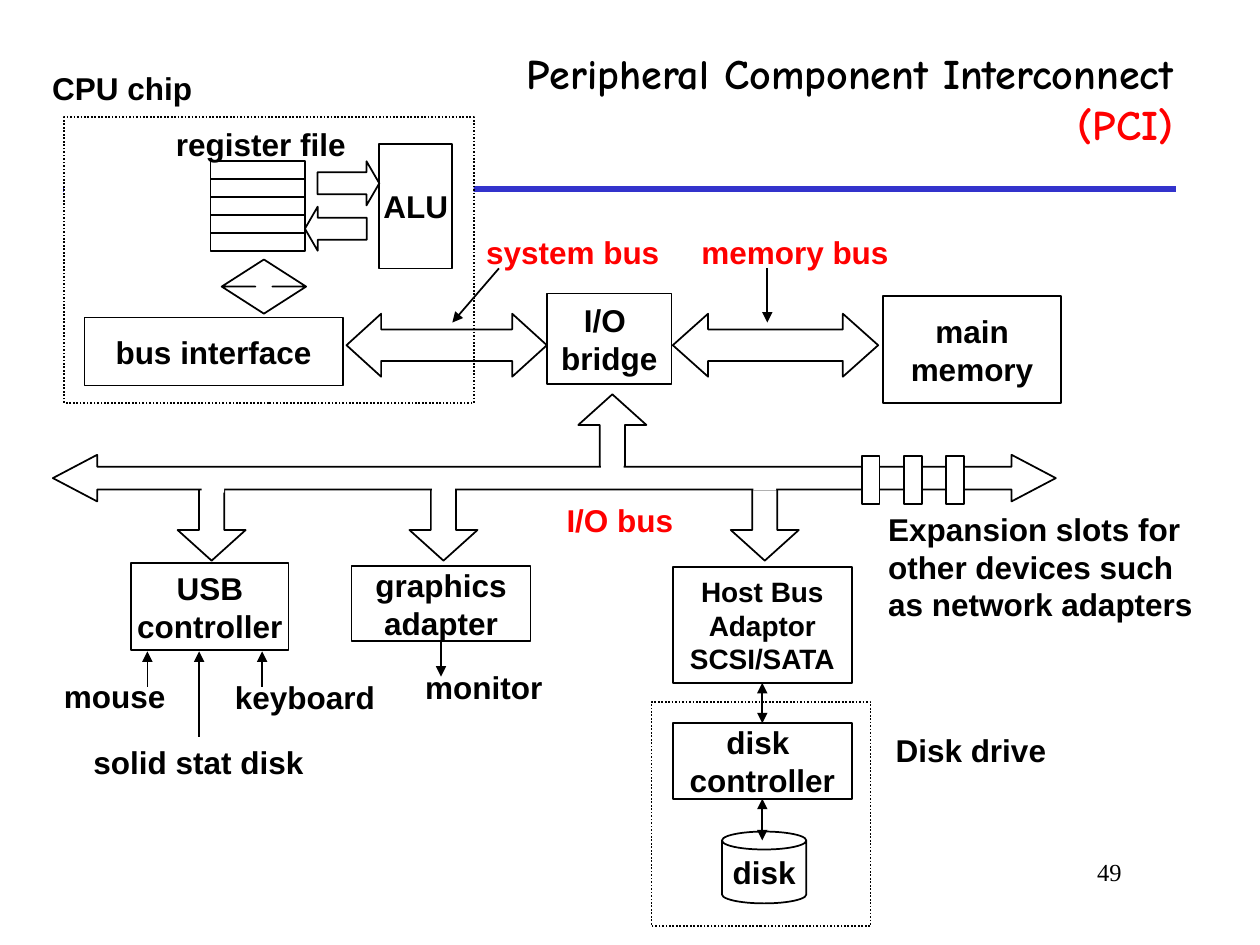
from dataclasses import dataclass
from typing import Optional

from lxml import etree
from pptx import Presentation, util as u
from pptx.dml.color import RGBColor
from pptx.enum import dml, shapes, text
from pptx.oxml import ns

KIND = shapes.MSO_SHAPE
ALIGN = text.PP_ALIGN


@dataclass(frozen=True)
class Theme:
    ink: str = "000000"
    red: str = "FF0000"
    blue: str = "3333CC"
    white: str = "FFFFFF"
    font: str = "Arial"
    head: str = "Comic Neue"
    serif: str = "Times New Roman"
    big: int = 24
    body: int = 18
    small: int = 16
    num: int = 14


T = Theme()


@dataclass(frozen=True)
class Area:
    """Left, top, width and height in grid columns and rows."""
    x: float
    y: float
    w: float
    h: float


@dataclass(frozen=True)
class Box:
    area: Area
    words: str = ""
    kind: KIND = KIND.RECTANGLE
    adj: tuple = ()
    fill: Optional[str] = None
    edge: bool = True
    dots: bool = False
    size: int = T.body


@dataclass(frozen=True)
class Label:
    area: Area
    words: str
    color: str = T.ink
    align: ALIGN = ALIGN.CENTER


@dataclass(frozen=True)
class Link:
    start: tuple
    end: tuple
    head: bool = False
    tail: bool = False
    color: str = T.ink
    width: float = 1


# Grid of 100 columns and 75 rows
deck = Presentation()
deck.slide_width, deck.slide_height = u.Inches(10), u.Inches(7.5)
COL, ROW = deck.slide_width / 100, deck.slide_height / 75
slide = deck.slides.add_slide(deck.slide_layouts[6])


def spot(x: float, y: float) -> tuple:
    return round(x * COL), round(y * ROW)


def place(area: Area) -> tuple:
    return spot(area.x, area.y) + spot(area.w, area.h)


def write(frame, lines: list, align: ALIGN, size: int = T.body,
          font: str = T.font, bold: bool = True) -> None:
    """Write (words, colour) pairs, one paragraph each."""
    for i, (words, color) in enumerate(lines):
        para = frame.add_paragraph() if i else frame.paragraphs[0]
        para.alignment = align
        run = para.add_run()
        run.text = words
        run.font.name, run.font.size, run.font.bold = font, u.Pt(size), bold
        run.font.color.rgb = RGBColor.from_string(color)


def draw_box(box: Box):
    shape = slide.shapes.add_shape(box.kind, *place(box.area))
    shape.shadow.inherit = False
    for i, val in enumerate(box.adj):
        shape.adjustments[i] = val
    if box.fill:
        shape.fill.solid()
        shape.fill.fore_color.rgb = RGBColor.from_string(box.fill)
    else:
        shape.fill.background()
    if box.edge:
        shape.line.color.rgb = RGBColor.from_string(T.ink)
        shape.line.width = u.Pt(1)
        if box.dots:
            shape.line.dash_style = dml.MSO_LINE.ROUND_DOT
    else:
        shape.line.fill.background()
    if box.words:
        frame = shape.text_frame
        frame.word_wrap = False
        frame.vertical_anchor = text.MSO_ANCHOR.MIDDLE
        write(frame, [(s, T.ink) for s in box.words.split("\n")],
              ALIGN.CENTER, box.size)
    return shape


def add_frame(area: Area, anchor: text.MSO_ANCHOR, grow: bool = True):
    frame = slide.shapes.add_textbox(*place(area)).text_frame
    frame.word_wrap = not grow
    frame.vertical_anchor = anchor
    if grow:
        frame.auto_size = text.MSO_AUTO_SIZE.SHAPE_TO_FIT_TEXT
    return frame


def draw_label(label: Label) -> None:
    frame = add_frame(label.area, text.MSO_ANCHOR.MIDDLE)
    write(frame, [(s, label.color) for s in label.words.split("\n")], label.align)


def draw_link(link: Link, above=None, below=None) -> None:
    line = slide.shapes.add_connector(
        shapes.MSO_CONNECTOR.STRAIGHT, *spot(*link.start), *spot(*link.end))
    if above is not None:
        line.begin_connect(above, 2)
    if below is not None:
        line.end_connect(below, 0)
    line.line.color.rgb = RGBColor.from_string(link.color)
    line.line.width = u.Pt(link.width)
    props = line.line._get_or_add_ln()
    for name, used in (("a:headEnd", link.head), ("a:tailEnd", link.tail)):
        if used:
            etree.SubElement(props, ns.qn(name), type="triangle")
    etree.SubElement(line._element.spPr, ns.qn("a:effectLst"))


# Title rule, page number and title
draw_link(Link((5, 15), (93.3, 15), color=T.blue, width=3))
write(add_frame(Area(75.8, 67.5, 14.2, 5), text.MSO_ANCHOR.TOP, False),
      [("49", T.ink)], ALIGN.RIGHT, T.num, T.serif, False)
write(add_frame(Area(35, 3.3, 59.1, 9.1), text.MSO_ANCHOR.TOP),
      [("Peripheral Component Interconnect", T.ink), ("(PCI)", T.red)],
      ALIGN.RIGHT, T.big, T.head)

# CPU chip, bridge and memory
draw_box(Box(Area(5.1, 9.3, 32.5, 22.7), fill=T.white, dots=True))
for box in (
    Box(Area(70.1, 23.5, 14.1, 8.5), "main\nmemory"),
    Box(Area(53.4, 24.9, 16.3, 5), kind=KIND.LEFT_RIGHT_ARROW, adj=(0.5, 0.56)),
    Box(Area(43.4, 23.3, 9.9, 7.2), "I/O \nbridge"),
    Box(Area(27.5, 24.9, 15.9, 5), kind=KIND.LEFT_RIGHT_ARROW, adj=(0.5, 0.55)),
    Box(Area(6.7, 25.2, 20.5, 5.4), "bus interface"),
    Box(Area(25.2, 12.8, 4.9, 3.5), kind=KIND.RIGHT_ARROW, adj=(0.5, 0.29)),
    Box(Area(24.2, 16.4, 4.9, 3.5), kind=KIND.LEFT_ARROW, adj=(0.5, 0.29)),
    Box(Area(30.1, 11.4, 5.8, 9.9), "ALU"),
    Box(Area(17.6, 20.6, 6.7, 4.3), kind=KIND.UP_DOWN_ARROW, adj=(0.5, 0.2)),
):
    draw_box(box)

# Registers
REG = 1.43
for i in range(5):
    draw_box(Box(Area(16.7, 12.8 + i * REG, 7.5, REG)))

# Labels and pointers of the upper half
for label in (
    Label(Area(12.9, 9.4, 15.6, 4), "register file"),
    Label(Area(3.1, 5, 13.2, 4), "CPU chip"),
    Label(Area(37.5, 18, 15.9, 4), "system bus", T.red),
    Label(Area(54.6, 18, 17, 4), "memory bus", T.red),
):
    draw_label(label)
draw_link(Link((39.6, 21.3), (35.9, 25.6), tail=True))
draw_link(Link((60.9, 21.3), (60.9, 25.6), tail=True))

# I/O bus: branches, then the bus, then patches that open the joints
BRANCH = (0.37, 0.45)
draw_box(Box(Area(45.9, 31.3, 5.4, 6.4), kind=KIND.UP_ARROW, adj=BRANCH))
for x in (14.1, 32.5, 58):
    draw_box(Box(Area(x, 38.1, 5.4, 6.4), kind=KIND.DOWN_ARROW, adj=BRANCH))
draw_box(Box(Area(4.2, 36.1, 79.6, 3.7), kind=KIND.LEFT_RIGHT_ARROW,
             adj=(0.49, 0.95), fill=T.white))
for x, y in ((16, 37.7), (34.3, 37.6), (59.8, 37.5), (47.7, 36.9)):
    draw_box(Box(Area(x, y, 1.8, 1.4), fill=T.white, edge=False))
for i in range(3):
    draw_box(Box(Area(68.4 + i * 3.35, 36.2, 1.4, 3.8), fill=T.white))

# Devices
draw_box(Box(Area(10.4, 44.7, 12.5, 6.9), "USB\ncontroller"))
screen = draw_box(Box(Area(27.9, 44.9, 14.2, 6), "graphics\nadapter"))
host = draw_box(Box(Area(53.4, 45, 14.2, 9.2), "Host Bus\nAdaptor\nSCSI/SATA",
                    size=T.small))
drive = draw_box(Box(Area(53.4, 57.4, 14.2, 6), "disk \ncontroller"))
draw_box(Box(Area(57.3, 66, 6.7, 5.7), "disk", KIND.CAN, (0.25,)))
draw_box(Box(Area(51.7, 55.7, 17.4, 17.8), dots=True))

# Device arrows
for x, y in ((11.7, 54.5), (15.8, 58.5), (20.8, 54.5)):
    draw_link(Link((x, 51.7), (x, y), head=True))
draw_link(Link((35, 50.9), (35, 53.7), tail=True), screen)
draw_link(Link((60.5, 54.2), (60.5, 57.4), True, True), host, drive)
draw_link(Link((60.5, 63.4), (60.5, 66.7), True, True), drive)

# Labels of the lower half
for label in (
    Label(Area(43.9, 39.3, 10.6, 4), "I/O bus", T.red),
    Label(Area(4, 53.2, 10.2, 4), "mouse"),
    Label(Area(17.6, 53.3, 13.2, 4), "keyboard"),
    Label(Area(32.7, 52.5, 11.4, 4), "monitor"),
    Label(Area(6.2, 58.5, 19.1, 4), "solid stat disk"),
    Label(Area(70, 57.5, 14.1, 4), "Disk drive"),
    Label(Area(69.5, 39.9, 27.1, 10.1),
          "Expansion slots for\nother devices such\nas network adapters",
          align=ALIGN.LEFT),
):
    draw_label(label)

deck.save("out.pptx")
